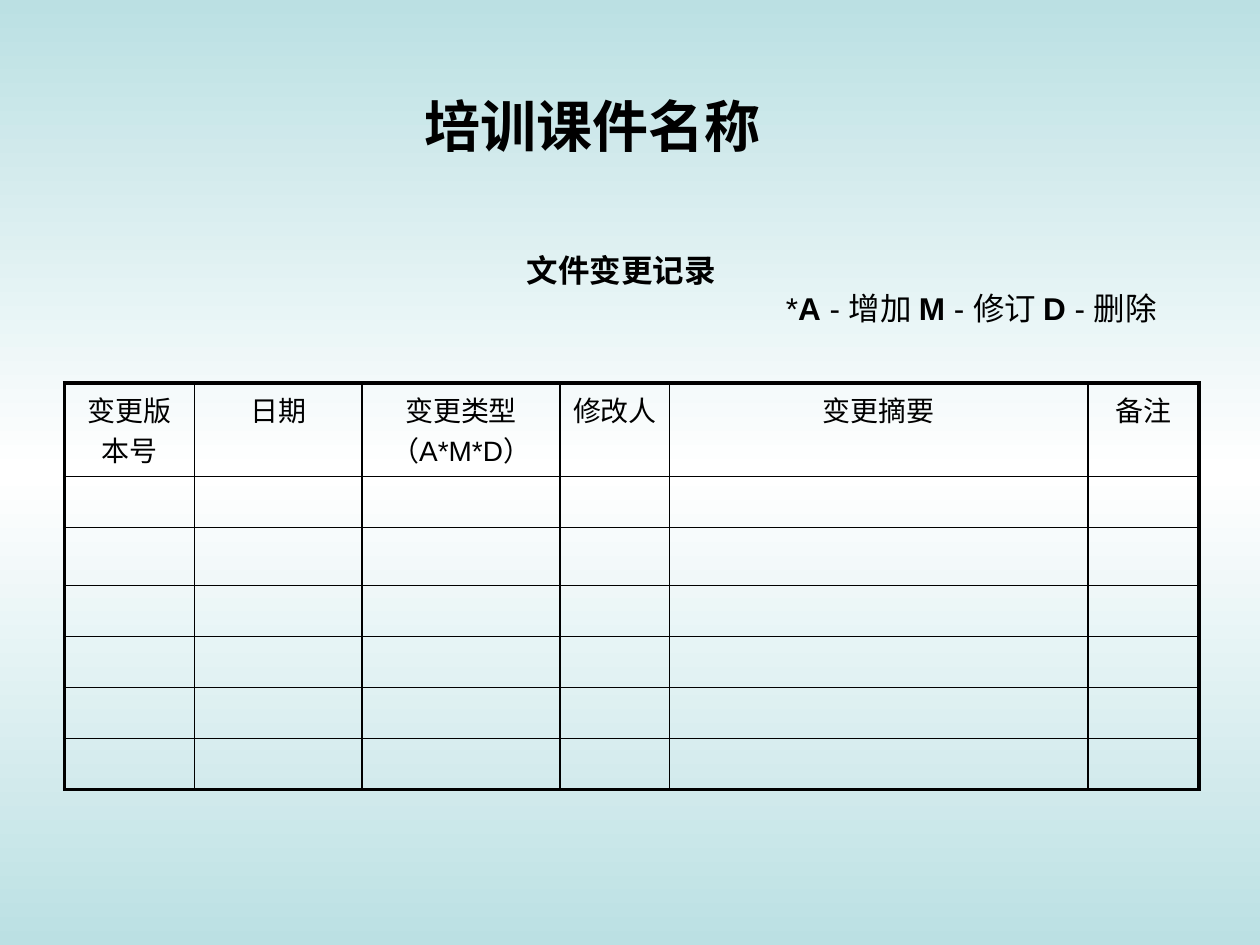
from copy import deepcopy

from lxml.etree import SubElement
from pptx import Presentation
from pptx.dml.color import RGBColor
from pptx.enum.text import MSO_ANCHOR as Anchor, MSO_AUTO_SIZE as AutoSize, PP_ALIGN as Align
from pptx.oxml.ns import qn
from pptx.util import Cm, Pt

BLACK, WHITE, TEAL = "000000", "FFFFFF", "BBE0E3"
CJK_FONT = "Noto Sans CJK SC"
COLS = [2.62, 3.38, 3.99, 2.21, 8.43, 2.24]
ROWS = [1.6, 1.02, 1.17, 1.02, 1.02, 1.02, 1.02]
HEADERS = ["变更版本号", "日期", "变更类型\v（A*M*D）", "修改人", "变更摘要", "备注"]
LEGEND = [("*", False), ("A", True), (" - 增加 ", False), ("M", True),
          (" - 修订 ", False), ("D", True), (" - 删除", False)]


def rgb(color):
    return RGBColor.from_string(color)


def write(p, text, size=18, font="Arial", color=BLACK, bold=False, align=None):
    p.alignment = align
    for i, part in enumerate(text.split("\v")):
        if i:
            p.add_line_break()
        r = p.add_run()
        r.text = part
        r.font.size = Pt(size)
        r.font.name = font
        r.font.bold = bold
        r.font.color.rgb = rgb(color)
        SubElement(r.font._element, qn("a:ea"), typeface=CJK_FONT)


def place(sp, box, anchor, wrap):
    sp.left, sp.top, sp.width, sp.height = map(Cm, box)
    tf = sp.text_frame
    tf.word_wrap = wrap
    tf.auto_size = AutoSize.NONE
    tf.vertical_anchor = anchor
    return tf


def set_background(s):
    fill = s.background.fill
    fill.gradient()
    fill.gradient_angle = 90
    stops = next(s._element.iter(qn("a:gsLst")))
    stops.insert(1, deepcopy(stops[0]))
    for stop, color, pos in zip(fill.gradient_stops, [TEAL, WHITE, TEAL], [0, 0.5, 1]):
        stop.color.rgb = rgb(color)
        stop.position = pos


def add_title(s, box):
    tf = place(s.shapes.title, box, Anchor.MIDDLE, False)
    write(tf.paragraphs[0], "培训课件名称", size=32, font=CJK_FONT, bold=True, align=Align.LEFT)


def add_legend(s, box):
    tf = place(s.placeholders[1], box, Anchor.TOP, True)
    tf.margin_left = tf.margin_right = Cm(0.63)
    heading, legend = tf.paragraphs[0], tf.add_paragraph()
    write(heading, "文件变更记录", bold=True, align=Align.CENTER)
    for text, bold in LEGEND:
        write(legend, text, bold=bold, align=Align.RIGHT)
    for p in tf.paragraphs:
        p.space_before = Pt(0)
        pPr = p._p.get_or_add_pPr()
        pPr.set("marL", "0")
        pPr.set("indent", "0")
        SubElement(pPr, qn("a:buNone"))


def set_border(cell, side, width):
    ln = SubElement(cell._tc.get_or_add_tcPr(), qn(f"a:ln{side}"), w=str(Pt(width)))
    SubElement(SubElement(ln, qn("a:solidFill")), qn("a:srgbClr"), val=BLACK)


def add_change_table(s, box):
    table = s.shapes.add_table(len(ROWS), len(COLS), *map(Cm, box)).table
    table.first_row = table.horz_banding = False
    for col, width in zip(table.columns, COLS):
        col.width = Cm(width)
    for i, height in enumerate(ROWS):
        table.rows[i].height = Cm(height)
        for j, header in enumerate(HEADERS):
            cell = table.cell(i, j)
            outer = {"L": j == 0, "R": j == len(COLS) - 1, "T": i == 0, "B": i == len(ROWS) - 1}
            for side, is_outer in outer.items():
                set_border(cell, side, 2.25 if is_outer else 1)
            cell.fill.background()
            if i == 0:
                write(cell.text_frame.paragraphs[0], header, size=16, align=Align.CENTER)


def main():
    prs = Presentation()
    prs.slide_width, prs.slide_height = Cm(25.4), Cm(19.05)
    s = prs.slides.add_slide(prs.slide_layouts[1])
    set_background(s)
    add_legend(s, (1.09, 4.93, 22.86, 1.8))
    add_change_table(s, (1.3, 7.72, sum(COLS), sum(ROWS)))
    add_title(s, (8.31, 1.73, 7.32, 1.6))
    prs.save("out.pptx")


if __name__ == "__main__":
    main()
